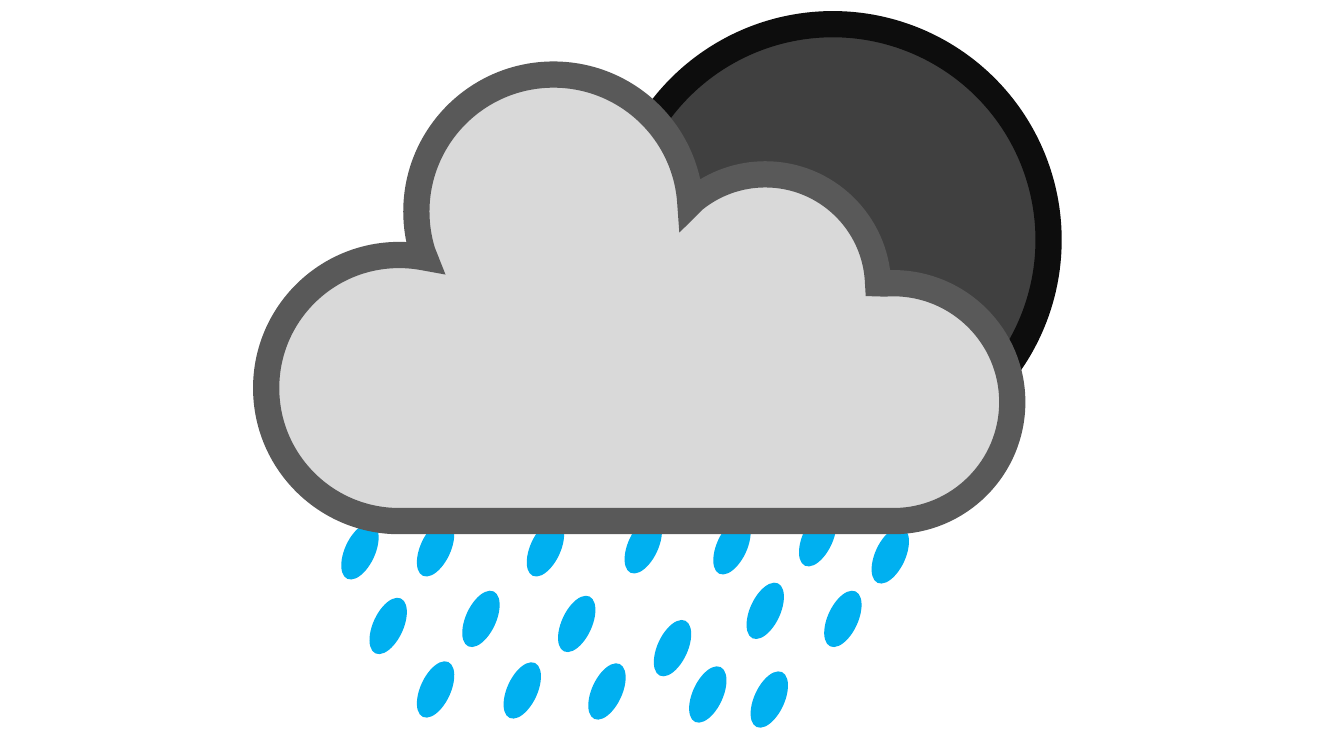
import math
from dataclasses import dataclass

import pptx
import pptx.dml.color
import pptx.enum.shapes
import pptx.oxml.ns
import pptx.shapes.autoshape
import pptx.shapes.shapetree
import pptx.util
from lxml import etree

Inches = pptx.util.Inches
qn = pptx.oxml.ns.qn
OVAL = pptx.enum.shapes.MSO_SHAPE.OVAL
Point = tuple[int, int]


@dataclass(frozen=True)
class Theme:
    rain: str = "00B0F0"
    sun_fill: str = "404040"
    sun_rim: str = "0D0D0D"
    cloud_fill: str = "D9D9D9"
    cloud_rim: str = "595959"
    rim_width: float = 18.75


@dataclass(frozen=True)
class Drop:
    left: float
    top: float
    width: float = 0.3
    height: float = 0.6
    tilt: float = 24.8


@dataclass(frozen=True)
class Stretch:
    """One piece of the outline: its end and, for a curve, two handles."""
    end: Point
    handles: tuple[Point, ...] = ()


@dataclass(frozen=True)
class Lobe:
    """A round bulge of the cloud, swept clockwise between two angles."""
    x: float
    y: float
    radius: float
    start: float
    end: float

    def point(self, angle: float, lean: float = 0) -> Point:
        """Point on the rim, moved along the tangent by lean radii."""
        a = math.radians(angle)
        return (Inches(self.x + self.radius * (math.cos(a) - lean * math.sin(a))),
                Inches(self.y + self.radius * (math.sin(a) + lean * math.cos(a))))

    def stretches(self) -> list[Stretch]:
        """A line to the first point, then a curve per quadrant."""
        quarters = [q for q in range(0, 450, 90) if self.start < q < self.end]
        stops = [self.start, *quarters, self.end]
        pieces = [Stretch(self.point(self.start))]
        for a, b in zip(stops, stops[1:]):
            lean = 4 / 3 * math.tan(math.radians(b - a) / 4)
            pieces.append(Stretch(self.point(b), (self.point(a, lean), self.point(b, -lean))))
        return pieces


THEME = Theme()

DROPS = [Drop(left, top) for left, top in (
    # Upper row, half hidden by the cloud
    (3.42, 5.17), (4.17, 5.14), (5.26, 5.14), (6.23, 5.11),
    (7.11, 5.12), (7.96, 5.04), (8.68, 5.21),
    # Middle row
    (3.7, 5.91), (4.62, 5.84), (5.57, 5.89), (6.52, 6.13),
    (7.44, 5.76), (8.21, 5.84),
    # Lower row
    (4.17, 6.54), (5.03, 6.55), (5.87, 6.56), (6.87, 6.59), (7.48, 6.64),
)]

LOBES = [
    Lobe(3.96, 3.85, 1.32, 90, 281),
    Lobe(5.49, 2.1, 1.36, 163, 356.5),
    Lobe(7.59, 2.85, 1.12, 231, 358),
    Lobe(8.86, 3.99, 1.18, 266, 450),
]


def paint(shape: pptx.shapes.autoshape.Shape, fill: str, rim: str | None = None) -> None:
    shape.shadow.inherit = False
    shape.fill.solid()
    shape.fill.fore_color.rgb = pptx.dml.color.RGBColor.from_string(fill)
    if rim is None:
        shape.line.fill.background()
        return
    shape.line.color.rgb = pptx.dml.color.RGBColor.from_string(rim)
    shape.line.width = pptx.util.Pt(THEME.rim_width)
    # Sharp corners where the lobes meet
    outline = next(shape.element.iter(qn("a:ln")))
    etree.SubElement(outline, qn("a:miter"), lim="800000")


def add_drop(shapes: pptx.shapes.shapetree.GroupShapes, drop: Drop) -> None:
    raindrop = shapes.add_shape(OVAL, Inches(drop.left), Inches(drop.top),
                                Inches(drop.width), Inches(drop.height))
    raindrop.rotation = drop.tilt
    paint(raindrop, THEME.rain)


def add_sun(shapes: pptx.shapes.shapetree.GroupShapes) -> None:
    sun = shapes.add_shape(OVAL, Inches(6.12), Inches(0.24), Inches(4.28), Inches(4.28))
    paint(sun, THEME.sun_fill, THEME.sun_rim)


def add_cloud(shapes: pptx.shapes.shapetree.GroupShapes) -> None:
    first, *edge = [piece for lobe in LOBES for piece in lobe.stretches()]
    builder = shapes.build_freeform(*first.end)
    builder.add_line_segments([piece.end for piece in edge], close=True)
    cloud = builder.convert_to_shape()
    # Bend the straight pieces that have handles
    for line, piece in zip(list(cloud.element.iter(qn("a:lnTo"))), edge):
        if piece.handles:
            curve = etree.Element(qn("a:cubicBezTo"))
            for x, y in piece.handles:
                etree.SubElement(curve, qn("a:pt"), x=str(x - cloud.left), y=str(y - cloud.top))
            curve.append(line[0])
            line.getparent().replace(line, curve)
    paint(cloud, THEME.cloud_fill, THEME.cloud_rim)


def main() -> None:
    presentation = pptx.Presentation()
    presentation.slide_width = Inches(13.33)
    presentation.slide_height = Inches(7.5)
    slide = presentation.slides.add_slide(presentation.slide_layouts[6])

    # Weather symbol, from back to front
    weather = slide.shapes.add_group_shape().shapes
    for drop in DROPS:
        add_drop(weather, drop)
    add_sun(weather)
    add_cloud(weather)

    presentation.save("out.pptx")


if __name__ == "__main__":
    main()
